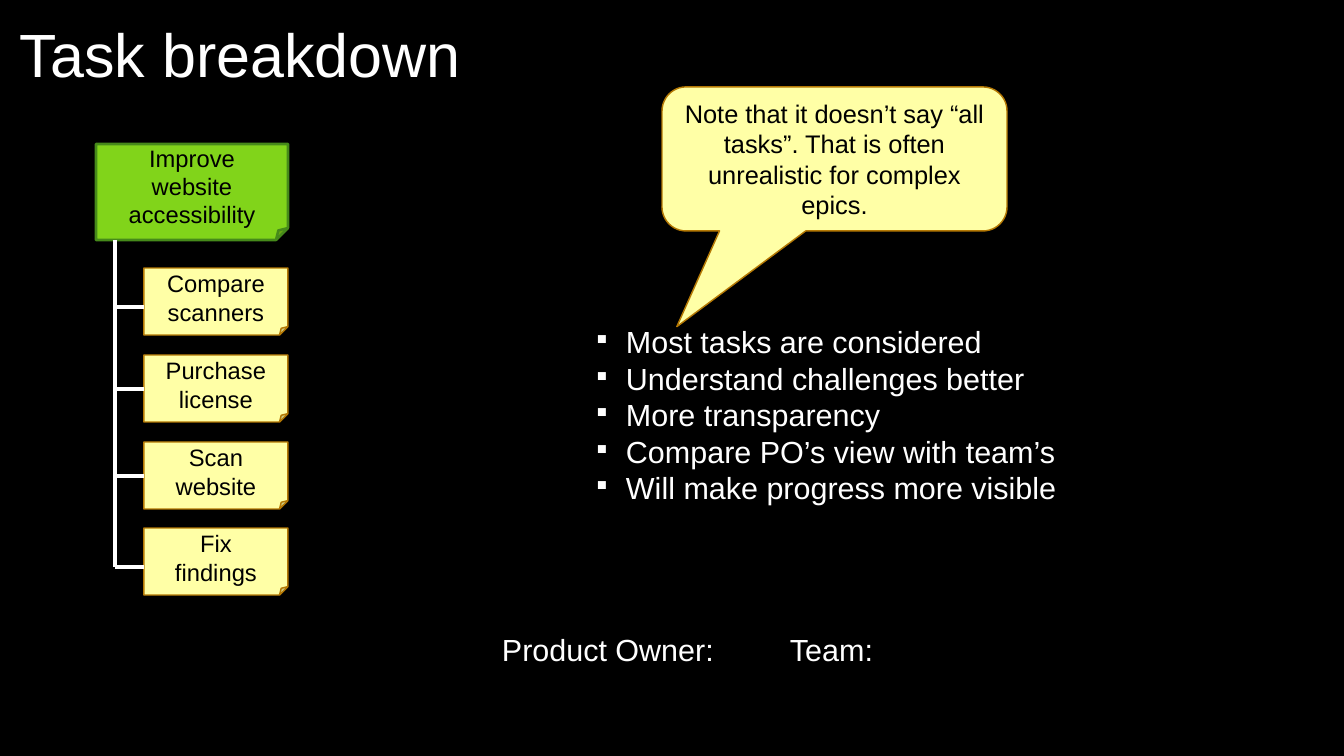
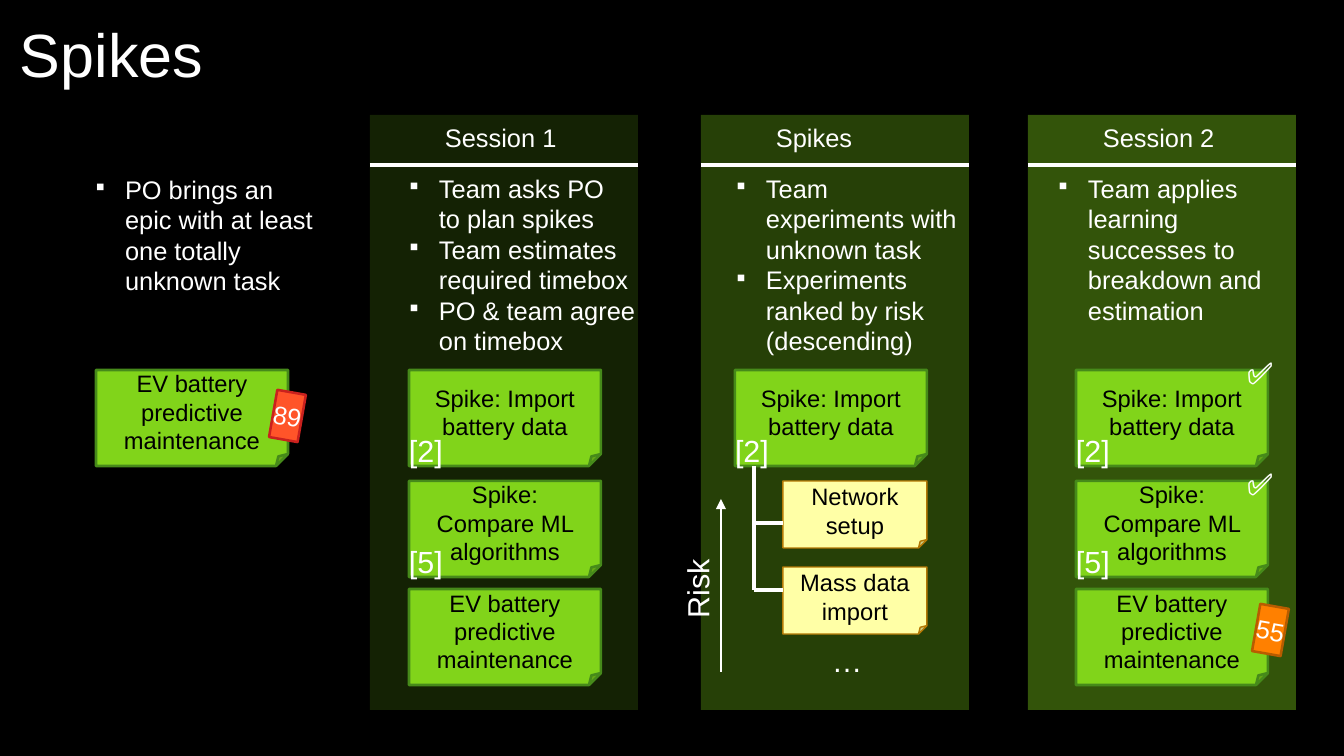
from lxml import etree
from pptx import Presentation
from pptx.dml.color import RGBColor
from pptx.enum import shapes, text
from pptx.oxml import ns
from pptx.util import Emu, Pt

# Shared look
PX = 914400 / 122
SLIDE_W, SLIDE_H = 1344, 756
FONT = "Arial"
BLACK = RGBColor(0x00, 0x00, 0x00)
WHITE = RGBColor(0xFF, 0xFF, 0xFF)
GREEN = RGBColor(0x81, 0xD4, 0x1A)
DARK_GREEN = RGBColor(0x46, 0x8A, 0x1A)
YELLOW = RGBColor(0xFF, 0xFF, 0xA6)
OCHRE = RGBColor(0xB4, 0x78, 0x04)
RED = RGBColor(0xFF, 0x54, 0x29)
DARK_RED = RGBColor(0xC9, 0x21, 0x1E)
ORANGE = RGBColor(0xFF, 0x80, 0x00)
BROWN = RGBColor(0xB8, 0x5C, 0x00)

CARD_W, CARD_H = 192, 96
NOTE_W, NOTE_H = 144, 67
INDENT = 29
ROWS = (370, 481, 589)

# Content: task breakdown (note text, note top, branch height)
EPIC = "Improve website accessibility"
TASKS = [
    ("Compare scanners", 268, 307),
    ("Purchase license", 355, 389),
    ("Scan website", 442, 476),
    ("Fix findings", 528, 567),
]
BENEFITS = [
    "Most tasks are considered",
    "Understand challenges better",
    "More transparency",
    "Compare PO’s view with team’s",
    "Will make progress more visible",
]
CALLOUT = ("Note that it doesn’t say “all tasks”. "
           "That is often unrealistic for complex epics.")
ROLES = "Product Owner: \tTeam:"

# Content: spikes
BATTERY_EPIC = "EV battery predictive maintenance"
IMPORT_SPIKE = ("Spike: Import battery data", "[2]")
COMPARE_SPIKE = ("Spike: Compare ML algorithms", "[5]")
START = ["PO brings an epic with at least one totally unknown task"]
SESSIONS = [
    dict(title="Session 1", left=370, opacity=16, list_left=398, card_left=409,
         points=["Team asks PO\vto plan spikes",
                 "Team estimates required timebox",
                 "PO & team agree on timebox"],
         cards=[IMPORT_SPIKE, COMPARE_SPIKE, (BATTERY_EPIC, "")], done=False),
    dict(title="Spikes", left=701, opacity=30, list_left=725, card_left=735,
         points=["Team experiments with unknown task",
                 "Experiments ranked by risk (descending)"],
         cards=[IMPORT_SPIKE], done=False),
    dict(title="Session 2", left=1028, opacity=40, list_left=1047, card_left=1076,
         points=["Team applies learning successes to breakdown and estimation"],
         cards=[IMPORT_SPIKE, COMPARE_SPIKE, (BATTERY_EPIC, "")], done=True),
]
EXPERIMENTS = [("Network setup", 481, 523), ("Mass data import", 567, 590)]


def px(*lengths):
    return [Emu(round(n * PX)) for n in lengths]


def add_xml(parent, tag, **attributes):
    return etree.SubElement(parent, ns.qn(tag), attributes)


def write(shape, lines, size, color, align=text.PP_ALIGN.LEFT):
    frame = shape.text_frame
    frame.word_wrap = True
    for i, line in enumerate(lines):
        paragraph = frame.add_paragraph() if i else frame.paragraphs[0]
        paragraph.text = line
        paragraph.alignment = align
        for run in paragraph.runs:
            run.font.name = FONT
            run.font.size = Pt(size)
            run.font.color.rgb = color
    return frame


def label(slide, content, left, top, width, height=46, size=18, **style):
    box = slide.shapes.add_textbox(*px(left, top, width, height))
    write(box, [content], size, WHITE, **style)
    return box


def bullets(slide, lines, left, top, width, height, size):
    box = slide.shapes.add_textbox(*px(left, top, width, height))
    for paragraph in write(box, lines, size, WHITE).paragraphs:
        props = paragraph._p.get_or_add_pPr()
        indent = px(INDENT)[0]
        props.set("marL", str(indent))
        props.set("indent", str(-indent))
        add_xml(add_xml(props, "a:buClr"), "a:srgbClr", val=str(WHITE))
        add_xml(props, "a:buSzPct", val="45000")
        add_xml(props, "a:buChar", char="■")


def block(slide, kind, place, fill, line=None, weight=0.85):
    shape = slide.shapes.add_shape(kind, *px(*place))
    shape.shadow.inherit = False
    shape.fill.solid()
    shape.fill.fore_color.rgb = fill
    if line is None:
        shape.line.fill.background()
    else:
        shape.line.color.rgb = line
        shape.line.width = Pt(weight)
    return shape


def sticky(slide, content, place, fill, line, weight):
    shape = block(slide, shapes.MSO_SHAPE.FOLDED_CORNER, place, fill, line, weight)
    geometry = shape._element.spPr.find(ns.qn("a:prstGeom"))
    add_xml(geometry.find(ns.qn("a:avLst")), "a:gd", name="adj", fmla="val 12500")
    frame = write(shape, [content], 14, BLACK, text.PP_ALIGN.CENTER)
    frame.vertical_anchor = text.MSO_ANCHOR.MIDDLE


def card(slide, content, left, top):
    sticky(slide, content, (left, top, CARD_W, CARD_H), GREEN, DARK_GREEN, 1.5)


def badge(slide, points, left, top, fill, line):
    shape = block(slide, shapes.MSO_SHAPE.RECTANGLE, (left, top, 29, 48), fill, line, 1.5)
    shape.rotation = 10
    frame = write(shape, [points], 15, WHITE, text.PP_ALIGN.CENTER)
    frame.vertical_anchor = text.MSO_ANCHOR.MIDDLE
    frame.margin_left = frame.margin_right = 0
    frame.word_wrap = False


def rule(slide, x1, y1, x2, y2, weight=2.3, arrow=False):
    line = slide.shapes.add_connector(shapes.MSO_CONNECTOR.STRAIGHT, *px(x1, y1, x2, y2))
    line.line.color.rgb = WHITE
    line.line.width = Pt(weight)
    if arrow:
        add_xml(line.line._get_or_add_ln(), "a:tailEnd", type="triangle")
    add_xml(line._element.spPr, "a:effectLst")


def task_tree(slide, trunk, top, tasks):
    rule(slide, trunk, top, trunk, tasks[-1][2])
    for content, note_top, branch in tasks:
        note_left = trunk + INDENT
        sticky(slide, content, (note_left, note_top, NOTE_W, NOTE_H), YELLOW, OCHRE, 0.85)
        rule(slide, note_left, branch, trunk, branch)


def new_slide(deck, title):
    slide = deck.slides.add_slide(deck.slide_layouts[6])
    slide.background.fill.solid()
    slide.background.fill.fore_color.rgb = BLACK
    frame = label(slide, title, 20, 10, 1272, 87, size=36).text_frame
    frame.vertical_anchor = text.MSO_ANCHOR.MIDDLE
    frame.margin_left = frame.margin_right = frame.margin_top = frame.margin_bottom = 0
    return slide


def task_breakdown(deck):
    slide = new_slide(deck, "Task breakdown")
    card(slide, EPIC, 96, 144)
    task_tree(slide, 115, 144 + CARD_H, TASKS)
    bullets(slide, BENEFITS, 585, 317, 500, 183, 18)

    # Callout pointing at the first benefit
    bubble = block(slide, shapes.MSO_SHAPE.ROUNDED_RECTANGULAR_CALLOUT,
                   (662, 87, 345, 144), YELLOW, OCHRE)
    for i, value in enumerate((-0.457, 1.165, 0.167)):
        bubble.adjustments[i] = value
    frame = write(bubble, [CALLOUT], 15, BLACK, text.PP_ALIGN.CENTER)
    frame.vertical_anchor = text.MSO_ANCHOR.MIDDLE

    # Roles, spaced by a tab stop
    roles = label(slide, ROLES, 490, 625, 461)
    stops = add_xml(roles.text_frame.paragraphs[0]._p.get_or_add_pPr(), "a:tabLst")
    add_xml(stops, "a:tab", pos=str(px(288)[0]), algn="l")


def session(slide, title, left, opacity, list_left, card_left, points, cards, done):
    width = 268
    panel = block(slide, shapes.MSO_SHAPE.RECTANGLE, (left, 115, width, 595), GREEN)
    color = panel._element.spPr.find(ns.qn("a:solidFill"))[0]
    add_xml(color, "a:alpha", val=str(opacity * 1000))
    label(slide, title, left + 63, 116, 180, 40, size=15)
    rule(slide, left, 165, left + width, 165)
    bullets(slide, points, list_left, 167, 251, 217, 15)
    for (content, estimate), top in zip(cards, ROWS):
        card(slide, content, card_left, top)
        if estimate:
            label(slide, estimate, card_left - 12, top + 56, 70)
            if done:
                label(slide, "✅", card_left + 159, top - 22, 70)


def spikes(deck):
    slide = new_slide(deck, "Spikes")
    bullets(slide, START, 84, 168, 252, 182, 15)
    card(slide, BATTERY_EPIC, 96, ROWS[0])
    badge(slide, "89", 273, 392, RED, DARK_RED)
    for column in SESSIONS:
        session(slide, **column)
    badge(slide, "55", 1256, 606, ORANGE, BROWN)

    # Experiments ordered by risk
    task_tree(slide, 754, ROWS[0] + CARD_H, EXPERIMENTS)
    label(slide, "…", 820, 636, 60)
    rule(slide, 721, 672, 721, 499, 1.5, arrow=True)
    risk = label(slide, "Risk", 646, 566, 100, align=text.PP_ALIGN.CENTER)
    risk.rotation = 270


def main():
    deck = Presentation()
    deck.slide_width, deck.slide_height = px(SLIDE_W, SLIDE_H)
    task_breakdown(deck)
    spikes(deck)
    deck.save("out.pptx")


if __name__ == "__main__":
    main()
